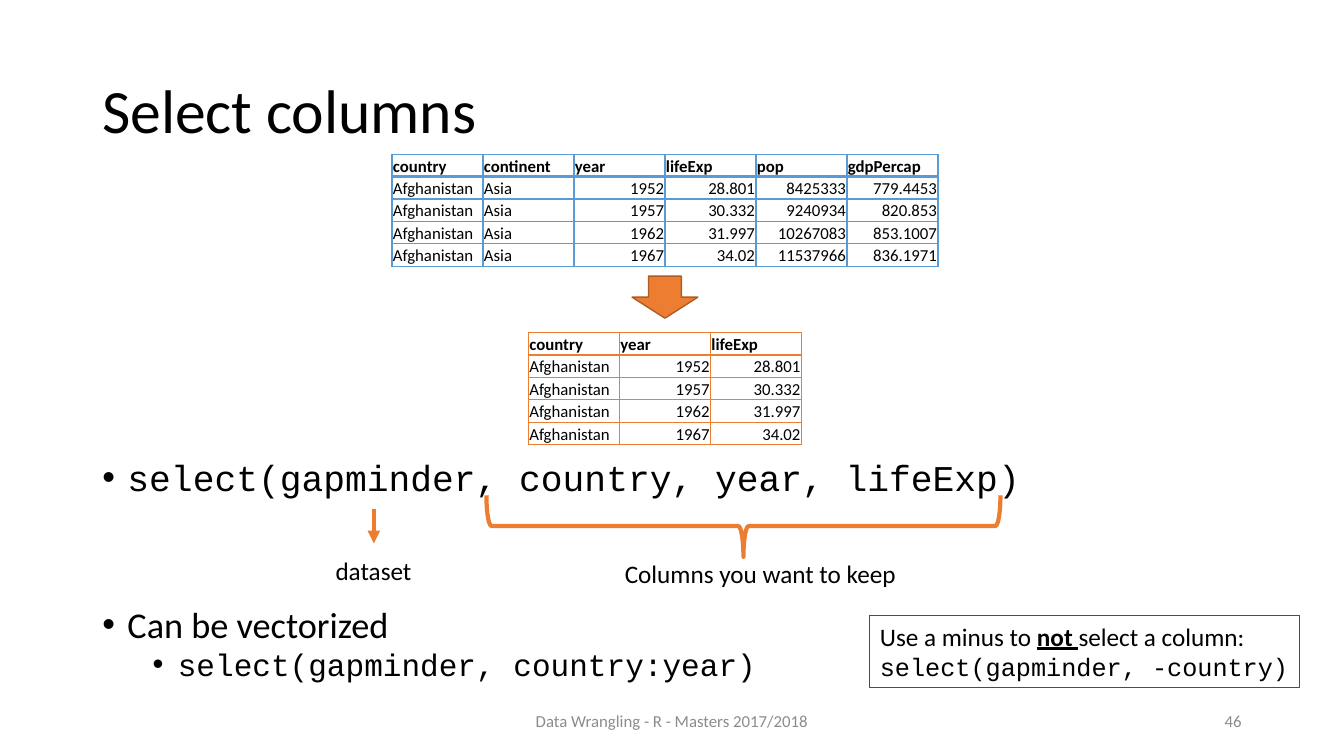
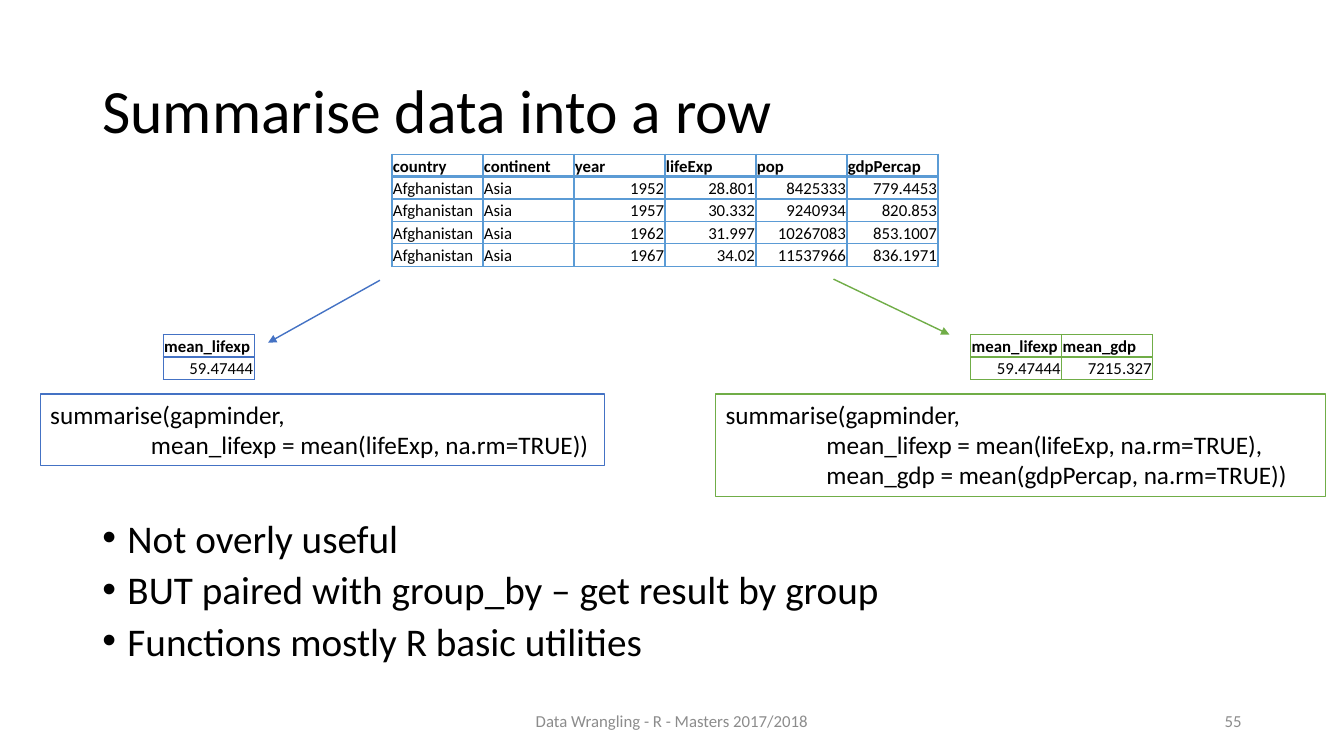
from dataclasses import dataclass

from lxml import etree
from pptx import Presentation
from pptx import util as u
from pptx.dml.color import RGBColor
from pptx.enum import shapes, text
from pptx.oxml import ns


@dataclass(frozen=True)
class Theme:
    body_font: str = "Calibri"
    code_font: str = "Courier New"
    black: str = "000000"
    white: str = "FFFFFF"
    gray: str = "8C8C8C"
    red: str = "FF0000"
    sky: str = "5B9BD5"
    blue: str = "4472C4"
    green: str = "70AD47"
    orange: str = "ED7D31"
    dark_orange: str = "AF5C24"
    title_size: float = 44
    bullet_size: float = 28
    select_size: float = 25.9
    sub_bullet_size: float = 22.2
    label_size: float = 18
    small_size: float = 12


THEME = Theme()
LEFT, RIGHT, CENTER = text.PP_ALIGN.LEFT, text.PP_ALIGN.RIGHT, text.PP_ALIGN.CENTER
AXIS = 475
TABLE_TOP = 110.2
COLUMN_WIDTH, ROW_HEIGHT = 65, 16
CELL_INSET = 0.7
TAB = 72
FOOTER = "Data Wrangling - R - Masters 2017/2018"

GAPMINDER = [
    ["country", "continent", "year", "lifeExp", "pop", "gdpPercap"],
    ["Afghanistan", "Asia", "1952", "28.801", "8425333", "779.4453"],
    ["Afghanistan", "Asia", "1957", "30.332", "9240934", "820.853"],
    ["Afghanistan", "Asia", "1962", "31.997", "10267083", "853.1007"],
    ["Afghanistan", "Asia", "1967", "34.02", "11537966", "836.1971"],
]


def points(*values):
    return [u.Pt(value) for value in values]


def add_xml(parent, tag, **attributes):
    return etree.SubElement(parent, ns.qn(tag), attributes)


def centered(rows):
    return AXIS - len(rows[0]) * COLUMN_WIDTH / 2


class Deck:
    def __init__(self, theme):
        self.theme = theme
        self.presentation = Presentation()
        self.presentation.slide_width, self.presentation.slide_height = points(960, 540)
        self.slide = None

    def add_slide(self, title, number):
        self.slide = self.presentation.slides.add_slide(self.presentation.slide_layouts[6])
        middle = text.MSO_ANCHOR.MIDDLE
        self.text_box((66, 28.8, 828, 104.4), [
            dict(content=title, size=self.theme.title_size, spacing=0.9)], middle)
        footer = dict(size=self.theme.small_size, color=self.theme.gray)
        self.text_box((318, 500.4, 324, 28.8), [dict(footer, content=FOOTER, align=CENTER)], middle)
        self.text_box((678, 500.4, 216, 28.8), [dict(footer, content=number, align=RIGHT)], middle)

    def style(self, paragraph, content, size=None, font=None, color=None, bold=False,
              align=LEFT, indent=0, spacing=None, before=0, bullet=False):
        paragraph.alignment = align
        paragraph.space_before = u.Pt(before)
        if spacing:
            paragraph.line_spacing = spacing
        properties = paragraph._p.get_or_add_pPr()
        properties.set("marL", str(u.Pt(indent)))
        if bullet:
            properties.set("indent", str(u.Pt(-18)))
            add_xml(properties, "a:buFont", typeface="Arial")
            add_xml(properties, "a:buChar", char="•")
        paragraph.font.size = u.Pt(size or self.theme.label_size)
        paragraph.font.name = font or self.theme.body_font
        paragraph.font.bold = bold
        paragraph.font.color.rgb = RGBColor.from_string(color or self.theme.black)
        parts = [content] if isinstance(content, str) else content
        for index, part in enumerate(parts):
            run = paragraph.add_run()
            run.text = part
            if index % 2:
                run.font.bold = run.font.underline = True

    def fill_frame(self, frame, lines, anchor=text.MSO_ANCHOR.TOP):
        frame.word_wrap = True
        frame.vertical_anchor = anchor
        for index, line in enumerate(lines):
            paragraph = frame.add_paragraph() if index else frame.paragraphs[0]
            self.style(paragraph, **line)

    def text_box(self, box, lines, anchor=text.MSO_ANCHOR.TOP):
        shape = self.slide.shapes.add_textbox(*points(*box))
        self.fill_frame(shape.text_frame, lines, anchor)

    def bullets(self, box, lines):
        base = dict(bullet=True, spacing=0.8, before=10, indent=18)
        self.text_box(box, [base | line for line in lines])

    def shape(self, kind, box, line, width=1, fill=None):
        shape = self.slide.shapes.add_shape(kind, *points(*box))
        shape.shadow.inherit = False
        if fill:
            shape.fill.solid()
            shape.fill.fore_color.rgb = RGBColor.from_string(fill)
        else:
            shape.fill.background()
        shape.line.color.rgb = RGBColor.from_string(line)
        shape.line.width = u.Pt(width)
        return shape

    def code_box(self, box, lines, line, width=1, fill=None):
        shape = self.shape(shapes.MSO_SHAPE.RECTANGLE, box, line, width, fill)
        self.fill_frame(shape.text_frame, lines)

    def arrow(self, start, end, color, width=1):
        connector = self.slide.shapes.add_connector(
            shapes.MSO_CONNECTOR.STRAIGHT, *points(*start, *end))
        connector.line.color.rgb = RGBColor.from_string(color)
        connector.line.width = u.Pt(width)
        properties = connector._element.spPr
        add_xml(properties.find(ns.qn("a:ln")), "a:tailEnd", type="triangle")
        add_xml(properties, "a:effectLst")

    def borders(self, cell, color, bottom):
        properties = cell._tc.get_or_add_tcPr()
        for side, width in zip("LRTB", (1, 1, 1, bottom)):
            line = add_xml(properties, f"a:ln{side}", w=str(u.Pt(width)))
            add_xml(add_xml(line, "a:solidFill"), "a:srgbClr", val=color)

    def table(self, left, top, rows, color):
        columns = len(rows[0])
        table = self.slide.shapes.add_table(len(rows), columns, *points(
            left, top, columns * COLUMN_WIDTH, len(rows) * ROW_HEIGHT)).table
        table.first_row = table.horz_banding = False
        for column in table.columns:
            column.width = u.Pt(COLUMN_WIDTH)
        for row_index, row in enumerate(rows):
            table.rows[row_index].height = u.Pt(ROW_HEIGHT)
            header = row_index == 0
            for column_index, value in enumerate(row):
                cell = table.cell(row_index, column_index)
                cell.margin_left = cell.margin_right = cell.margin_top = u.Pt(CELL_INSET)
                cell.margin_bottom = 0
                cell.vertical_anchor = text.MSO_ANCHOR.BOTTOM
                self.borders(cell, color, 2 if header else 1)
                cell.fill.background()
                self.style(cell.text_frame.paragraphs[0], value, self.theme.small_size,
                           bold=header, align=RIGHT if value[0].isdigit() else LEFT)


def select_slide(deck):
    theme = deck.theme
    deck.add_slide("Select columns", "46")
    deck.bullets((66, 327.6, 828, 172.8), [
        dict(content="select(gapminder, country, year, lifeExp)",
             font=theme.code_font, size=theme.select_size),
        dict(content="Can be vectorized", size=theme.select_size, before=80.5),
        dict(content="select(gapminder, country:year)", font=theme.code_font,
             size=theme.sub_bullet_size, indent=54, before=5),
    ])
    deck.shape(shapes.MSO_SHAPE.DOWN_ARROW, (AXIS - 23.5, 197.3, 47, 30),
               theme.dark_orange, fill=theme.orange)
    brace = deck.shape(shapes.MSO_SHAPE.RIGHT_BRACE, (509, 192.2, 44, 367.2), theme.orange, 3)
    brace.rotation = 90
    deck.text_box((439.2, 395.3, 223.2, 29), [dict(content="Columns you want to keep")])
    deck.text_box((232.6, 393.1, 72, 29), [dict(content="dataset")])
    deck.arrow((267.1, 363.6), (267.1, 388.1), theme.orange, 3)
    deck.table(centered(GAPMINDER), TABLE_TOP, GAPMINDER, theme.sky)
    selected = [[row[0], row[2], row[3]] for row in GAPMINDER]
    deck.table(centered(selected), 237.6, selected, theme.orange)
    deck.code_box((621.4, 439.9, 307, 51), [
        dict(content=["Use a minus to ", "not ", "select a column:"]),
        dict(content="select(gapminder, -country)", font=theme.code_font),
    ], theme.red, 0.75)


def summarise_slide(deck):
    theme = deck.theme
    deck.add_slide("Summarise data into a row", "55")
    deck.bullets((66, 370, 828, 116), [
        dict(content=content, size=theme.bullet_size) for content in (
            "Not overly useful",
            "BUT paired with group_by – get result by group",
            "Functions mostly R basic utilities")])
    call = dict(content="summarise(gapminder,")
    deck.code_box((28.8, 281.5, 403.2, 51), [
        call,
        dict(content="mean_lifexp = mean(lifeExp, na.rm=TRUE))", indent=TAB),
    ], theme.blue, fill=theme.white)
    deck.code_box((511.2, 281.5, 435.6, 73), [
        call,
        dict(content="mean_lifexp = mean(lifeExp, na.rm=TRUE),", indent=TAB),
        dict(content="mean_gdp = mean(gdpPercap, na.rm=TRUE))", indent=TAB),
    ], theme.green, fill=theme.white)
    deck.arrow((271.4, 200.2), (191.5, 244.8), theme.blue)
    deck.arrow((595.4, 199.4), (678.2, 239), theme.green)
    deck.table(centered(GAPMINDER), TABLE_TOP, GAPMINDER, theme.sky)
    deck.table(116.6, 239, [["mean_lifexp"], ["59.47444"]], theme.blue)
    deck.table(693.4, 239, [["mean_lifexp", "mean_gdp"], ["59.47444", "7215.327"]], theme.green)


def main():
    deck = Deck(THEME)
    select_slide(deck)
    summarise_slide(deck)
    deck.presentation.save("out.pptx")


if __name__ == "__main__":
    main()
